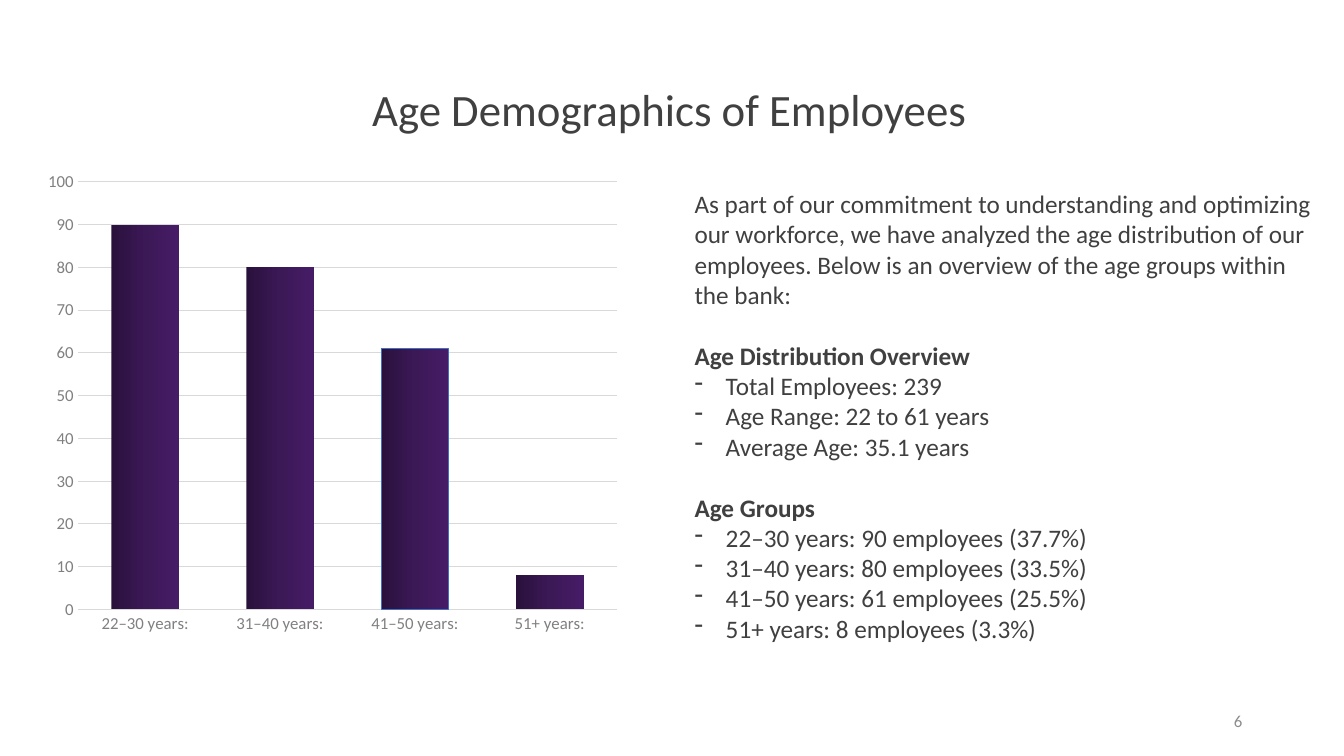
from lxml.etree import SubElement
from pptx import Presentation
from pptx.chart.data import CategoryChartData
from pptx.dml.color import RGBColor
from pptx.enum.chart import XL_CHART_TYPE as CT, XL_TICK_MARK as TM
from pptx.enum.text import MSO_ANCHOR as MA, PP_ALIGN as PA
from pptx.oxml.ns import qn
from pptx.util import Inches, Pt

FONT = "Calibri"
DARK = "404040"
BAR_STOPS = [(0, "29113C"), (50, "3B1856"), (100, "461C66")]
AGE_GROUPS = [("22–30 years:", 90), ("31–40 years:", 80),
              ("41–50 years:", 61), ("51+ years:", 8)]
INTRO = ("As part of our commitment to understanding and optimizing our workforce, "
         "we have analyzed the age distribution of our employees. "
         "Below is an overview of the age groups within the bank:")
SECTIONS = [
    ("Age Distribution Overview",
     ["Total Employees: 239", "Age Range: 22 to 61 years", "Average Age: 35.1 years"]),
    ("Age Groups",
     ["22–30 years: 90 employees (37.7%)", "31–40 years: 80 employees (33.5%)",
      "41–50 years: 61 employees (25.5%)", "51+ years: 8 employees (3.3%)"]),
]


def rgb(value):
    return RGBColor.from_string(value)


def style_font(font, size, color, bold=False):
    font.name = FONT
    font.size = Pt(size)
    font.bold = bold
    font.color.rgb = rgb(color)


def add_text_frame(s, box, anchor=MA.TOP):
    tf = s.shapes.add_textbox(*map(Inches, box)).text_frame
    tf.word_wrap = True
    tf.vertical_anchor = anchor
    return tf


def add_line(s, box, text, size, color, align):
    p = add_text_frame(s, box, MA.MIDDLE).paragraphs[0]
    p.text = text
    p.alignment = align
    style_font(p.runs[0].font, size, color)
    return p


def add_dash(p):
    pPr = p._p.get_or_add_pPr()
    pPr.set("marL", str(Inches(0.31)))
    pPr.set("indent", str(-Inches(0.31)))
    SubElement(pPr, qn("a:buFontTx"))
    SubElement(pPr, qn("a:buChar")).set("char", "-")


def add_overview(s, box):
    tf = add_text_frame(s, box)
    p = tf.paragraphs[0]
    p.text = INTRO
    style_font(p.runs[0].font, 18, DARK)
    for heading, items in SECTIONS:
        p = tf.add_paragraph()
        p.text = heading
        p.space_before = Pt(22)
        style_font(p.runs[0].font, 18, DARK, True)
        for item in items:
            p = tf.add_paragraph()
            add_dash(p)
            p.text = item
            style_font(p.runs[0].font, 18, DARK)


def style_bars(series):
    for i in range(len(AGE_GROUPS)):
        fmt = series.points[i].format
        fmt.fill.gradient()
        fmt.fill.gradient_angle = 0
        fmt.line.fill.background()
    line = series.points[2].format.line
    line.color.rgb = rgb("436FC0")
    line.width = Pt(0.75)
    for stops in series._element.iter(qn("a:gsLst")):
        for stop in list(stops):
            stops.remove(stop)
        for percent, color in BAR_STOPS:
            stop = SubElement(stops, qn("a:gs"), pos=str(percent * 1000))
            SubElement(stop, qn("a:srgbClr"), val=color)


def style_axis(axis):
    axis.major_tick_mark = axis.minor_tick_mark = TM.NONE
    style_font(axis.tick_labels.font, 12, "808080")


def style_rule(line):
    line.color.rgb = rgb("D9D9D9")
    line.width = Pt(0.75)


def add_age_chart(s, box):
    data = CategoryChartData()
    data.categories = [name for name, _ in AGE_GROUPS]
    data.add_series("Series 1", [count for _, count in AGE_GROUPS])
    chart = s.shapes.add_chart(CT.COLUMN_CLUSTERED, *map(Inches, box), data).chart
    chart.has_title = chart.has_legend = False
    style_font(chart.font, 10, "000000")
    plot = chart.plots[0]
    plot.vary_by_categories = False
    plot.gap_width = 100
    plot.overlap = -24
    style_bars(plot.series[0])
    cat, val = chart.category_axis, chart.value_axis
    style_axis(cat)
    style_axis(val)
    style_rule(cat.format.line)
    style_rule(val.major_gridlines.format.line)
    val.format.line.fill.background()
    val.minimum_scale, val.maximum_scale, val.major_unit = 0, 100, 10


def main():
    prs = Presentation()
    prs.slide_width, prs.slide_height = Inches(13.33), Inches(7.5)
    s = prs.slides.add_slide(prs.slide_layouts[6])
    title = add_line(s, (0.36, 0.76, 12.56, 0.71),
                     "Age Demographics of Employees", 32, DARK, PA.CENTER)
    title.line_spacing = 0.9
    add_overview(s, (6.79, 1.82, 6.36, 4.64))
    add_age_chart(s, (0.36, 1.61, 5.88, 4.77))
    add_line(s, (9.42, 6.95, 3, 0.4), "6", 12, "8C8C8C", PA.RIGHT)
    prs.save("out.pptx")


if __name__ == "__main__":
    main()
